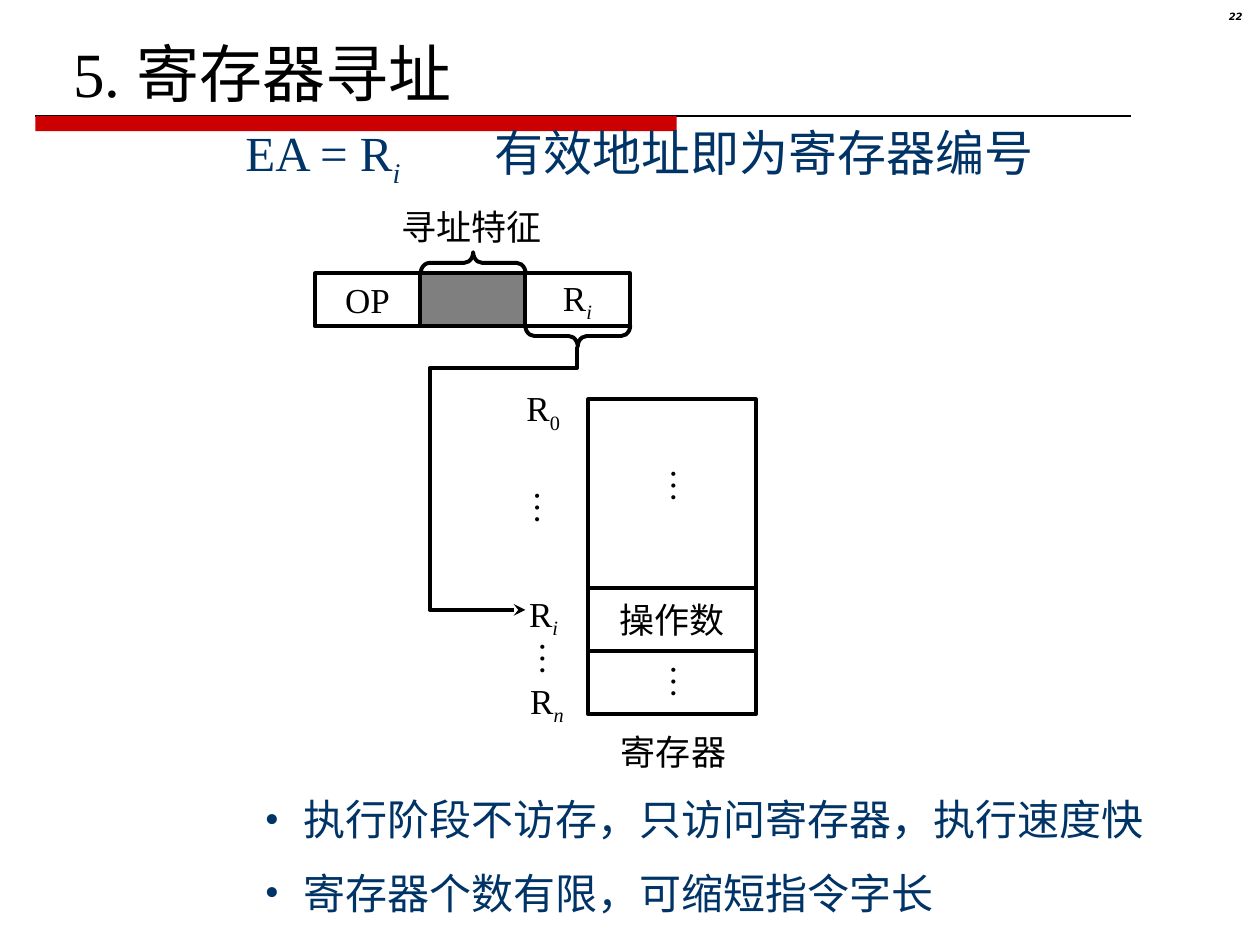
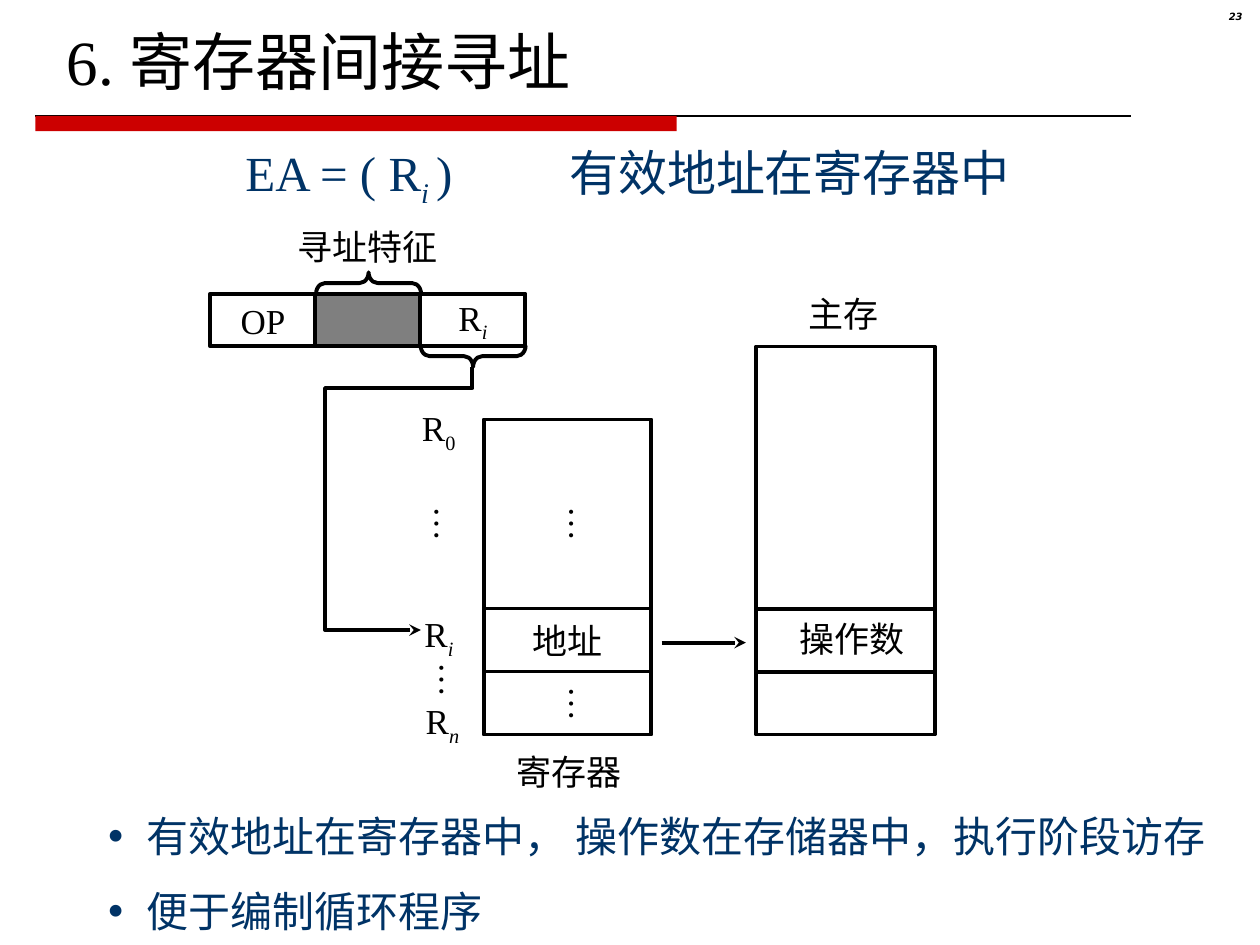
from dataclasses import dataclass
from typing import NamedTuple, Optional

from lxml.etree import SubElement
from pptx import Presentation
from pptx.dml.color import RGBColor
from pptx.enum.shapes import MSO_CONNECTOR, MSO_SHAPE
from pptx.enum.text import MSO_ANCHOR, MSO_AUTO_SIZE, PP_ALIGN
from pptx.oxml.ns import qn
from pptx.util import Inches, Pt


@dataclass(frozen=True)
class Theme:
    black: RGBColor = RGBColor(0, 0, 0)
    navy: RGBColor = RGBColor(0x00, 0x33, 0x66)
    red: RGBColor = RGBColor(0xCC, 0, 0)
    font: str = "Times New Roman"
    number_font: str = "DejaVu Sans"
    title: float = 36
    formula: float = 28
    bullet: float = 24
    label: float = 20
    number: float = 5.7
    stroke: float = 2.25
    hairline: float = 0.75


class Point(NamedTuple):
    x: float
    y: float


class Words(NamedTuple):
    """Text with an optional subscript and a part after it."""
    text: str
    subscript: str = ""
    after: str = ""


class BulletList(NamedTuple):
    place: Point
    width: float
    pitch: float
    bullet_percent: int
    items: tuple[str, ...]


@dataclass(frozen=True)
class AddressingSlide:
    number: str
    title: str
    title_place: Point
    formula: Words
    formula_place: Point
    formula_width: float
    meaning: str
    meaning_place: Point
    meaning_width: float
    origin: Point
    register_content: str
    dots: tuple[Point, ...]
    bullets: BulletList
    main_memory: bool = False


THEME = Theme()
CELL_WIDTH, CELL_HEIGHT = 2.5 / 3, 0.42
REGISTER_WIDTH = 1.33

SLIDES = (
    AddressingSlide(
        "22", "5. 寄存器寻址", Point(0.48, 0.22),
        Words("EA = R", "i"), Point(1.85, 0.92), 1.7,
        "有效地址即为寄存器编号", Point(3.83, 0.92), 4.83,
        Point(2.5, 2.17), "操作数",
        (Point(2.63, 1.45), Point(2.63, 3), Point(1.55, 1.62), Point(1.59, 2.82)),
        BulletList(Point(2, 6.25), 7.42, 42, 100,
                   ("执行阶段不访存，只访问寄存器，执行速度快", "寄存器个数有限，可缩短指令字长")),
    ),
    AddressingSlide(
        "23", "6. 寄存器间接寻址", Point(0.43, 0.13),
        Words("EA = ( R", "i ", ")"), Point(1.85, 1.08), 2.1,
        "有效地址在寄存器中", Point(4.42, 1.08), 4,
        Point(1.67, 2.33), "地址",
        (Point(2.65, 1.59), Point(2.65, 3.02), Point(1.58, 1.59), Point(1.62, 2.83)),
        BulletList(Point(0.75, 6.38), 9.25, 43, 117,
                   ("有效地址在寄存器中， 操作数在存储器中，执行阶段访存", "便于编制循环程序")),
        main_memory=True,
    ),
)


# Text
def format_font(font, size: float, color: RGBColor, name: str = THEME.font) -> None:
    font.name, font.size = name, Pt(size)
    font.color.rgb = color


def write_words(paragraph, words: Words, size: float, color: RGBColor) -> None:
    paragraph.text = words.text
    if words.subscript:
        run = paragraph.add_run()
        run.text = words.subscript
        run.font.italic = words.subscript.strip().isalpha()
        run._r.get_or_add_rPr().set("baseline", "-25000")
    if words.after:
        paragraph.add_run().text = words.after
    for run in paragraph.runs:
        format_font(run.font, size, color)


def add_label(slide, place: Point, width: float, height: float, words: Words,
              size: float = THEME.label, color: RGBColor = THEME.black,
              vertical: bool = False) -> None:
    shape = slide.shapes.add_textbox(Inches(place.x), Inches(place.y),
                                     Inches(width), Inches(height))
    frame = shape.text_frame
    frame.word_wrap = not vertical
    frame.auto_size = MSO_AUTO_SIZE.SHAPE_TO_FIT_TEXT
    if vertical:
        frame._txBody.bodyPr.set("vert", "eaVert")
        frame.margin_left = frame.margin_right = Inches(0.05)
        frame.margin_top = frame.margin_bottom = Inches(0.1)
    write_words(frame.paragraphs[0], words, size, color)


# Lines and shapes
def style_line(line, width: float = THEME.stroke, arrow: bool = False) -> None:
    line.color.rgb = THEME.black
    line.width = Pt(width)
    if arrow:
        SubElement(line._get_or_add_ln(), qn("a:tailEnd"), type="stealth")


def add_line(slide, start: Point, end: Point, width: float = THEME.stroke,
             arrow: bool = False):
    connector = slide.shapes.add_connector(
        MSO_CONNECTOR.STRAIGHT, Inches(start.x), Inches(start.y),
        Inches(end.x), Inches(end.y))
    style_line(connector.line, width, arrow)
    SubElement(connector._element.spPr, qn("a:effectLst"))
    return connector


def add_outline(slide, place: Point, width: float, height: float,
                words: Optional[Words] = None, kind: MSO_SHAPE = MSO_SHAPE.RECTANGLE):
    shape = slide.shapes.add_shape(kind, Inches(place.x), Inches(place.y),
                                   Inches(width), Inches(height))
    shape.shadow.inherit = False
    shape.fill.background()
    style_line(shape.line)
    if words:
        frame = shape.text_frame
        frame.word_wrap = False
        frame.vertical_anchor = MSO_ANCHOR.MIDDLE
        write_words(frame.paragraphs[0], words, THEME.label, THEME.black)
        frame.paragraphs[0].alignment = PP_ALIGN.CENTER
    return shape


def add_brace(slide, place: Point, rotation: float) -> None:
    brace = add_outline(slide, place, 0.17, CELL_WIDTH, kind=MSO_SHAPE.LEFT_BRACE)
    brace.rotation = rotation
    brace.adjustments[0] = 0.42


# Shared frame of both slides
def move_band_to_layout(slide, layout) -> None:
    left, top = 0.28, 0.92
    rule = add_line(slide, Point(left, top), Point(left + 8.7, top), THEME.hairline)
    bar = add_outline(slide, Point(left, top), 5.09, 0.12)
    bar.fill.solid()
    bar.fill.fore_color.rgb = THEME.red
    bar.line.fill.background()
    for shape in (rule, bar):
        layout.shapes._spTree.append(shape._element)


def add_slide_number(slide, number: str) -> None:
    shape = slide.shapes.add_textbox(Inches(9.37), Inches(0.05), Inches(0.59), Inches(0.23))
    shape.text_frame.word_wrap = True
    paragraph = shape.text_frame.paragraphs[0]
    paragraph.text = number
    paragraph.alignment = PP_ALIGN.RIGHT
    paragraph.line_spacing = 0.8
    font = paragraph.runs[0].font
    format_font(font, THEME.number, THEME.black, THEME.number_font)
    font.bold = font.italic = True


def place_shape(shape, place: Point, width: float, height: float) -> None:
    shape.left, shape.top = Inches(place.x), Inches(place.y)
    shape.width, shape.height = Inches(width), Inches(height)
    frame = shape.text_frame
    frame.word_wrap = True
    frame.auto_size = MSO_AUTO_SIZE.NONE
    frame.vertical_anchor = MSO_ANCHOR.TOP


def fill_title(slide, content: AddressingSlide) -> None:
    title = slide.shapes.title
    place_shape(title, content.title_place, 5, 0.7)
    paragraph = title.text_frame.paragraphs[0]
    paragraph.text = content.title
    paragraph.alignment = PP_ALIGN.LEFT
    format_font(paragraph.runs[0].font, THEME.title, THEME.black)


def fill_bullets(slide, bullets: BulletList) -> None:
    body = slide.placeholders[1]
    place_shape(body, bullets.place, bullets.width, 1.1)
    body.text_frame.text = "\n".join(bullets.items)
    for index, paragraph in enumerate(body.text_frame.paragraphs):
        paragraph.space_before = Pt(0)
        if index:
            paragraph.line_spacing = Pt(bullets.pitch)
        properties = paragraph._p.get_or_add_pPr()
        properties.set("marL", str(Inches(0.31)))
        properties.set("indent", str(-Inches(0.31)))
        color = SubElement(properties, qn("a:buClr"))
        SubElement(color, qn("a:srgbClr"), val=str(THEME.navy))
        SubElement(properties, qn("a:buSzPct"), val=str(bullets.bullet_percent * 1000))
        SubElement(properties, qn("a:buFont"), typeface=THEME.font)
        SubElement(properties, qn("a:buChar"), char="•")
        format_font(paragraph.runs[0].font, THEME.bullet, THEME.navy)


# Diagram parts
def draw_instruction(slide, origin: Point) -> None:
    cells = (Words("OP"), None, Words("R", "i"))
    shapes = [add_outline(slide, Point(origin.x + index * CELL_WIDTH, origin.y),
                          CELL_WIDTH, CELL_HEIGHT, words)
              for index, words in enumerate(cells)]
    mode_cell = shapes[1]
    mode_cell.fill.solid()
    mode_cell.fill.fore_color.rgb = THEME.black
    color = mode_cell._element.spPr.find(qn("a:solidFill"))[0]
    SubElement(color, qn("a:alpha"), val="50000")

    add_brace(slide, Point(origin.x + 1.17, origin.y - 0.5), 90)
    add_brace(slide, Point(origin.x + 2, origin.y + 0.08), 270)
    add_label(slide, Point(origin.x + 0.59, origin.y - 0.59), 1.5, 0.44, Words("寻址特征"))

    # Arrow from the address field to the selected register
    corners = [(Inches(origin.x + x), Inches(origin.y + y)) for x, y in
               ((2.08, 0.58), (2.08, 0.75), (0.91, 0.75), (0.91, 2.67), (1.67, 2.67))]
    builder = slide.shapes.build_freeform(*corners[0])
    builder.add_line_segments(corners[1:], close=False)
    path_shape = builder.convert_to_shape()
    path_shape.shadow.inherit = False
    path_shape.fill.background()
    style_line(path_shape.line, arrow=True)


def draw_registers(slide, content: AddressingSlide) -> None:
    origin = content.origin
    rows = ((1, 1.5, None), (2.5, 0.5, Words(content.register_content)), (3, 0.5, None))
    for top, height, words in rows:
        add_outline(slide, Point(origin.x + 2.17, origin.y + top),
                    REGISTER_WIDTH, height, words)
    names = ((1.58, 0.85, "0"), (1.6, 2.48, "i"), (1.61, 3.17, "n"))
    for x, y, subscript in names:
        add_label(slide, Point(origin.x + x, origin.y + y), 0.65, 0.48, Words("R", subscript))
    for dot in content.dots:
        add_label(slide, Point(origin.x + dot.x, origin.y + dot.y), 0.53, 0.38,
                  Words("…"), vertical=True)
    add_label(slide, Point(origin.x + 2.33, origin.y + 3.58), 1.33, 0.44, Words("寄存器"))


def draw_main_memory(slide) -> None:
    left, right = 6, 7.42
    add_line(slide, Point(5.25, 5.1), Point(5.92, 5.1), arrow=True)
    add_outline(slide, Point(left, 2.75), right - left, 3.08)
    for y in (4.83, 5.33):
        add_line(slide, Point(left, y), Point(right, y))
    add_label(slide, Point(6.25, 4.85), 1.2, 0.44, Words("操作数"))
    add_label(slide, Point(6.32, 2.27), 1, 0.44, Words("主存"))


def build_slide(slide, content: AddressingSlide) -> None:
    add_slide_number(slide, content.number)
    fill_title(slide, content)
    add_label(slide, content.formula_place, content.formula_width, 0.63,
              content.formula, THEME.formula, THEME.navy)
    add_label(slide, content.meaning_place, content.meaning_width, 0.57,
              Words(content.meaning), THEME.formula, THEME.navy)
    draw_instruction(slide, content.origin)
    draw_registers(slide, content)
    if content.main_memory:
        draw_main_memory(slide)
    fill_bullets(slide, content.bullets)


def main() -> None:
    presentation = Presentation()
    presentation.slide_width, presentation.slide_height = Inches(10), Inches(7.5)
    layout = presentation.slide_layouts[1]
    slides = [presentation.slides.add_slide(layout) for _ in SLIDES]
    move_band_to_layout(slides[0], layout)
    for slide, content in zip(slides, SLIDES):
        build_slide(slide, content)
    presentation.save("out.pptx")


if __name__ == "__main__":
    main()
